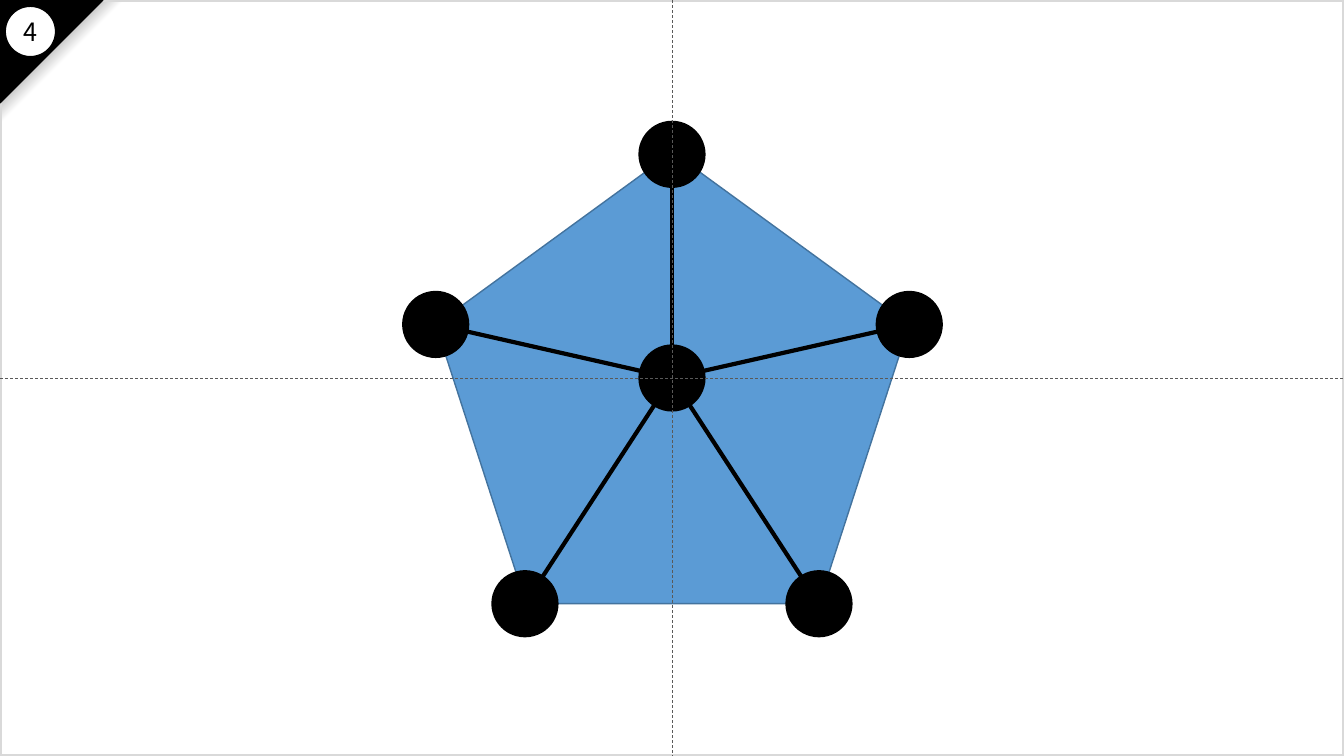
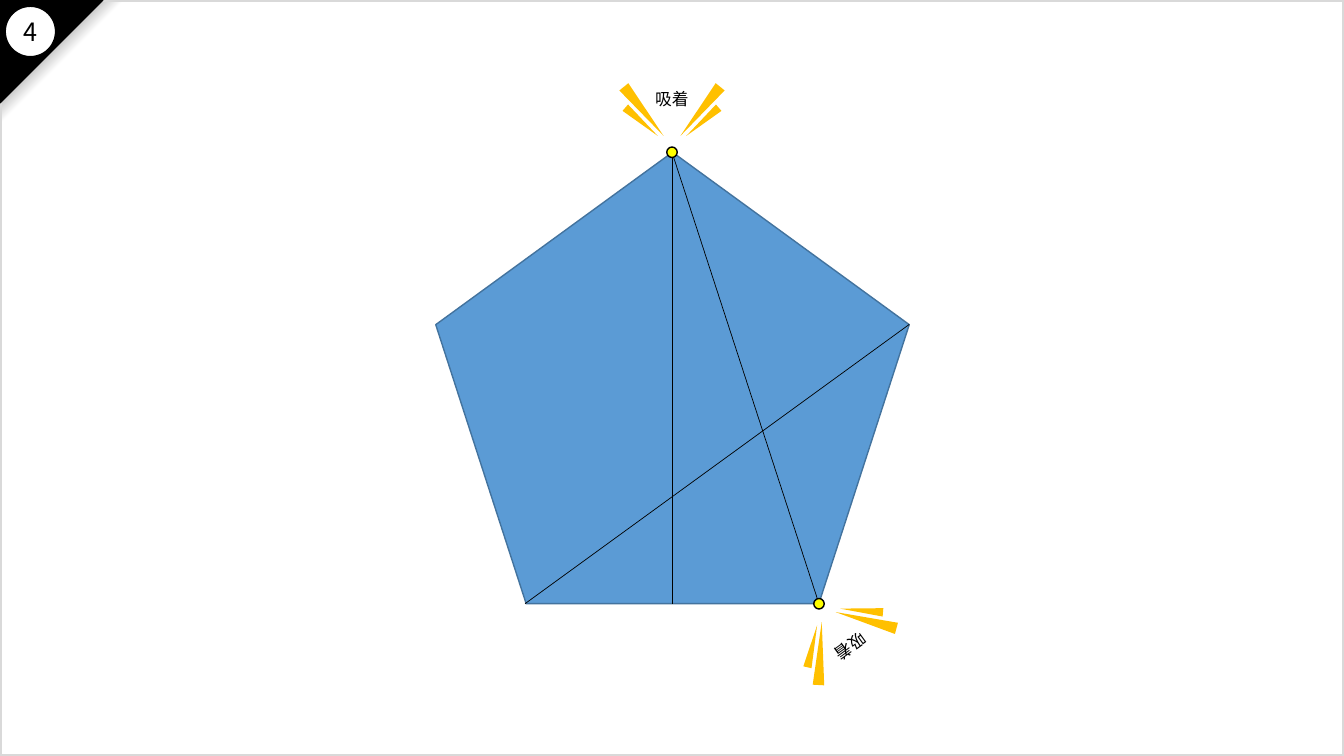
import math
import pptx
import pptx.dml.color
import pptx.enum.dml
import pptx.enum.shapes
import pptx.enum.text
import pptx.oxml
import pptx.oxml.ns
import pptx.util

KIND = pptx.enum.shapes.MSO_SHAPE
FONT = "Noto Sans CJK JP"
INK = {
    "black": "000000",
    "white": "FFFFFF",
    "gray": "808080",
    "edge": "D9D9D9",
    "guide": "595959",
    "blue": "5B9BD5",
    "navy": "43739E",
    "yellow": "FFFF00",
    "gold": "FFC000",
}

# Lengths in px, 96 to the inch
WIDE, HIGH = 1280, 720
HUB = (WIDE // 2, HIGH // 2)
TOP, LEFT, LOW_L, LOW_R, RIGHT = (640, 145), (415, 309), (500, 575), (780, 575), (866, 309)


def px(n):
    return pptx.util.Emu(round(n * 9525))


def rgb(name):
    return pptx.dml.color.RGBColor.from_string(INK[name])


def shape(shapes, kind, box, fill=None, line=None, width=1, turn=0):
    """Add a preset shape; box is left, top, width, height."""
    item = shapes.add_shape(kind, *map(px, box))
    item.shadow.inherit = False
    item.rotation = turn % 360
    if fill:
        item.fill.solid()
        item.fill.fore_color.rgb = rgb(fill)
    else:
        item.fill.background()
    if line:
        item.line.color.rgb = rgb(line)
        item.line.width = pptx.util.Pt(width)
    else:
        item.line.fill.background()
    return item


def disc(shapes, mid, size, fill, width=1):
    box = (mid[0] - size / 2, mid[1] - size / 2, size, size)
    return shape(shapes, KIND.OVAL, box, fill, "black", width)


def rule(shapes, start, end, color="black", width=0.5, dash=None):
    item = shapes.add_connector(
        pptx.enum.shapes.MSO_CONNECTOR.STRAIGHT, *map(px, start + end))
    item.line.color.rgb = rgb(color)
    item.line.width = pptx.util.Pt(width)
    if dash:
        item.line.dash_style = dash
    item.element.spPr.append(pptx.oxml.parse_xml(
        "<a:effectLst %s/>" % pptx.oxml.ns.nsdecls("a")))


def label(shapes, words, mid, size=12, color="black", turn=0, wide=52, high=30):
    """Add text centred on a point."""
    box = (mid[0] - wide / 2, mid[1] - high / 2, wide, high)
    item = shapes.add_textbox(*map(px, box))
    item.rotation = turn
    frame = item.text_frame
    frame.word_wrap = True
    frame.margin_left = frame.margin_right = 0
    frame.margin_top = frame.margin_bottom = 0
    frame.vertical_anchor = pptx.enum.text.MSO_ANCHOR.MIDDLE
    para = frame.paragraphs[0]
    para.alignment = pptx.enum.text.PP_ALIGN.CENTER
    run = para.add_run()
    run.text = words
    run.font.name = FONT
    run.font.size = pptx.util.Pt(size)
    run.font.color.rgb = rgb(color)
    run.font._element.append(pptx.oxml.parse_xml(
        '<a:ea %s typeface="%s"/>' % (pptx.oxml.ns.nsdecls("a"), FONT)))


def fade(item, stops):
    """Fill with a diagonal gradient that darkens toward the corner."""
    item.fill.gradient()
    item.fill.gradient_angle = 225
    tag = pptx.oxml.ns.qn("a:gsLst")
    old = next(item.element.spPr.iter(tag))
    marks = "".join(
        '<a:gs pos="%d"><a:srgbClr val="%s"/></a:gs>' % (pos * 1000, INK[name])
        for pos, name in stops)
    new = pptx.oxml.parse_xml("<a:gsLst %s>%s</a:gsLst>" % (
        pptx.oxml.ns.nsdecls("a"), marks))
    old.getparent().replace(old, new)


def frame(slide):
    """Build the border and corner badge, then move them to the layout."""
    layout = slide.slide_layout
    for holder in list(layout.placeholders):
        holder.element.getparent().remove(holder.element)
    shapes = slide.shapes
    shade = shape(shapes, KIND.RIGHT_TRIANGLE, (0, 0, 118, 118), turn=90)
    fade(shade, [(0, "white"), (50, "white"), (70, "gray"), (100, "black")])
    shape(shapes, KIND.RECTANGLE, (0, 0, WIDE, HIGH), line="edge", width=3)
    shape(shapes, KIND.RIGHT_TRIANGLE, (0, 0, 98, 98), "black", "black", turn=90)
    disc(shapes, (29, 30), 48, "white")
    for item in list(shapes):
        layout.shapes.element.append(item.element)


def base(shapes):
    shape(shapes, KIND.REGULAR_PENTAGON, (415, 145, 451, 430), "blue", "navy")


def burst(shapes, tip, turn=0):
    """Add the word and its four rays around a tip, turned as one."""
    group = shapes.add_group_shape().shapes
    cos, sin = math.cos(math.radians(turn)), math.sin(math.radians(turn))

    def spot(x, y):
        return tip[0] + x * cos - y * sin, tip[1] + x * sin + y * cos

    label(group, "吸着", spot(0, -51), turn=turn)
    for x, y, wide, high, lean in ((27, -39, 11, 60, 39), (29, -29, 8, 41, 49)):
        for side in (1, -1):
            mid = spot(side * x, y)
            box = (mid[0] - wide / 2, mid[1] - high / 2, wide, high)
            shape(group, KIND.ISOSCELES_TRIANGLE, box, "gold",
                  turn=turn + 180 + side * lean)


def wheel(shapes):
    """Pentagon with a hub, spokes and centre guides."""
    base(shapes)
    group = shapes.add_group_shape().shapes
    knobs = [LEFT, LOW_L, LOW_R, RIGHT, (640, 147)]
    for mid in [HUB] + knobs:
        disc(group, mid, 60, "black", 3)
    for mid in knobs:
        rule(group, mid, HUB, width=3)
    dash = pptx.enum.dml.MSO_LINE.DASH
    rule(shapes, (0, HUB[1]), (WIDE, HUB[1]), "guide", dash=dash)
    rule(shapes, (HUB[0], 0), (HUB[0], HIGH), "guide", dash=dash)


def folds(shapes):
    """Pentagon with fold lines and two sticking points."""
    base(shapes)
    for start, end in ((TOP, (640, 575)), (TOP, LOW_R), (LOW_L, RIGHT)):
        rule(shapes, start, end)
    for tip in (LOW_R, TOP):
        disc(shapes, tip, 10, "yellow")
    burst(shapes, TOP)
    burst(shapes, LOW_R, 144)


def main():
    deck = pptx.Presentation()
    deck.slide_width, deck.slide_height = px(WIDE), px(HIGH)
    blank = deck.slide_layouts[6]
    for draw in (wheel, folds):
        slide = deck.slides.add_slide(blank)
        if len(deck.slides) == 1:
            frame(slide)
        draw(slide.shapes)
        label(slide.shapes, "4", (29, 30), size=18, wide=35, high=38)
    deck.save("out.pptx")


if __name__ == "__main__":
    main()
